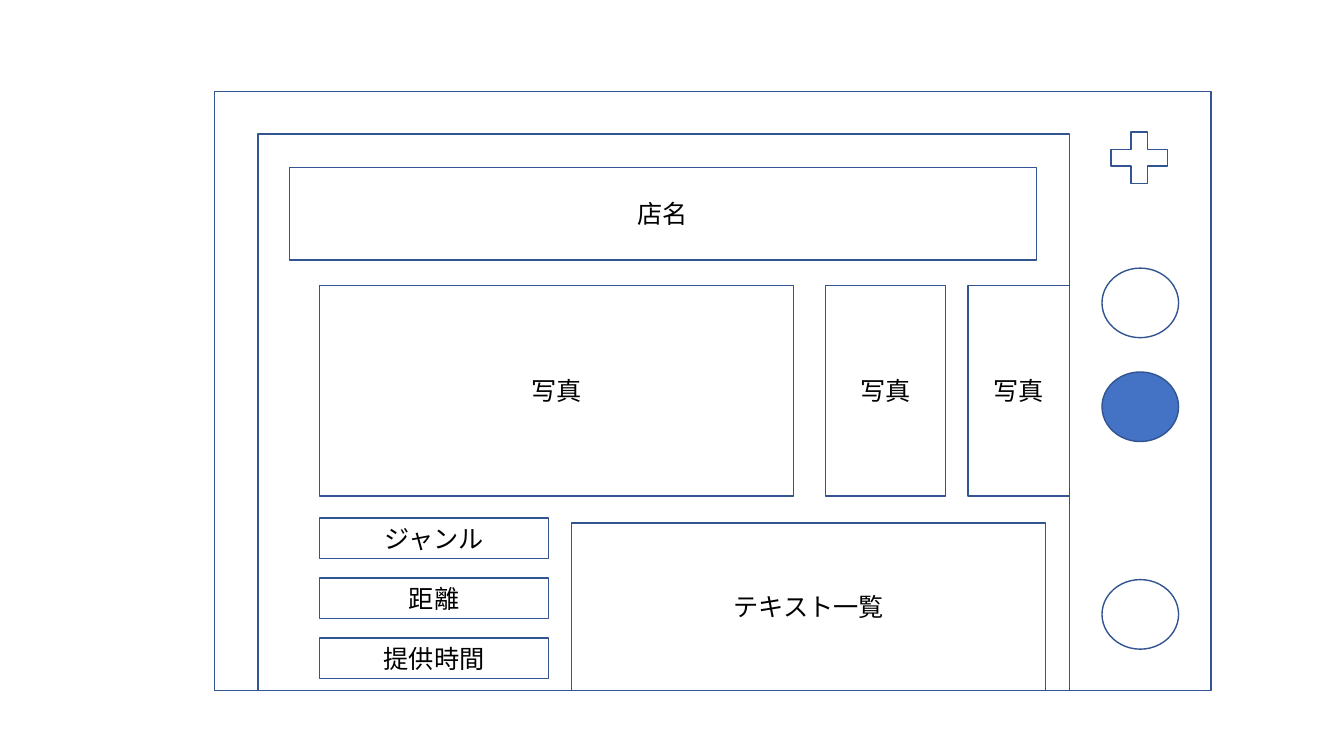
from lxml import etree
from pptx import Presentation
from pptx.dml.color import RGBColor
from pptx.enum.shapes import MSO_SHAPE
from pptx.enum.text import MSO_ANCHOR, PP_ALIGN
from pptx.oxml.ns import qn
from pptx.util import Inches, Pt

RECT = MSO_SHAPE.RECTANGLE
OVAL = MSO_SHAPE.OVAL
PLUS = MSO_SHAPE.MATH_PLUS
MIDDLE = MSO_ANCHOR.MIDDLE
CENTER = PP_ALIGN.CENTER

THEME = {
    "line": RGBColor(0x32, 0x54, 0x91),
    "fill": RGBColor(0x44, 0x72, 0xC4),
    "text": RGBColor(0, 0, 0),
    "font": "Noto Sans CJK JP",
    "size": Pt(18),
    "width": Pt(1),
}

deck = Presentation()
deck.slide_width = Inches(13.33)
deck.slide_height = Inches(7.5)
slide = deck.slides.add_slide(deck.slide_layouts[6])


def add_part(kind, left, top, width, height, label="", solid=False):
    part = slide.shapes.add_shape(
        kind, Inches(left), Inches(top), Inches(width), Inches(height))
    part.shadow.inherit = False
    if solid:
        part.fill.solid()
        part.fill.fore_color.rgb = THEME["fill"]
    else:
        part.fill.background()
    part.line.color.rgb = THEME["line"]
    part.line.width = THEME["width"]
    if label:
        frame = part.text_frame
        frame.text = label
        frame.word_wrap = True
        frame.vertical_anchor = MIDDLE
        para = frame.paragraphs[0]
        para.alignment = CENTER
        run = para.runs[0]
        run.font.size = THEME["size"]
        run.font.color.rgb = THEME["text"]
        run.font.name = THEME["font"]
        # Japanese glyphs take the East Asian typeface
        east = etree.SubElement(run.font._element, qn("a:ea"))
        east.set("typeface", THEME["font"])


# Device body, shop name and screen
add_part(RECT, 2.13, 0.91, 9.88, 5.94)
add_part(RECT, 2.87, 1.66, 7.41, 0.92, "店名")
add_part(RECT, 2.56, 1.33, 8.05, 5.52)

# Photo strip, the last one cut off by the screen edge
for left, width in ((3.17, 4.7), (8.19, 1.19), (9.6, 1.01)):
    add_part(RECT, left, 2.83, width, 2.09, "写真")

# Shop facts
for row, label in enumerate(("ジャンル", "距離", "提供時間")):
    add_part(RECT, 3.17, 5.14 + row * 0.595, 2.27, 0.4, label)

# Text list
add_part(RECT, 5.67, 5.19, 4.7, 1.66, "テキスト一覧")

# Controls: direction pad and round buttons
add_part(PLUS, 10.92, 1.22, 0.76, 0.69)
for top, solid in ((3.69, True), (2.66, False), (5.75, False)):
    add_part(OVAL, 10.93, top, 0.76, 0.69, solid=solid)

deck.save("out.pptx")
